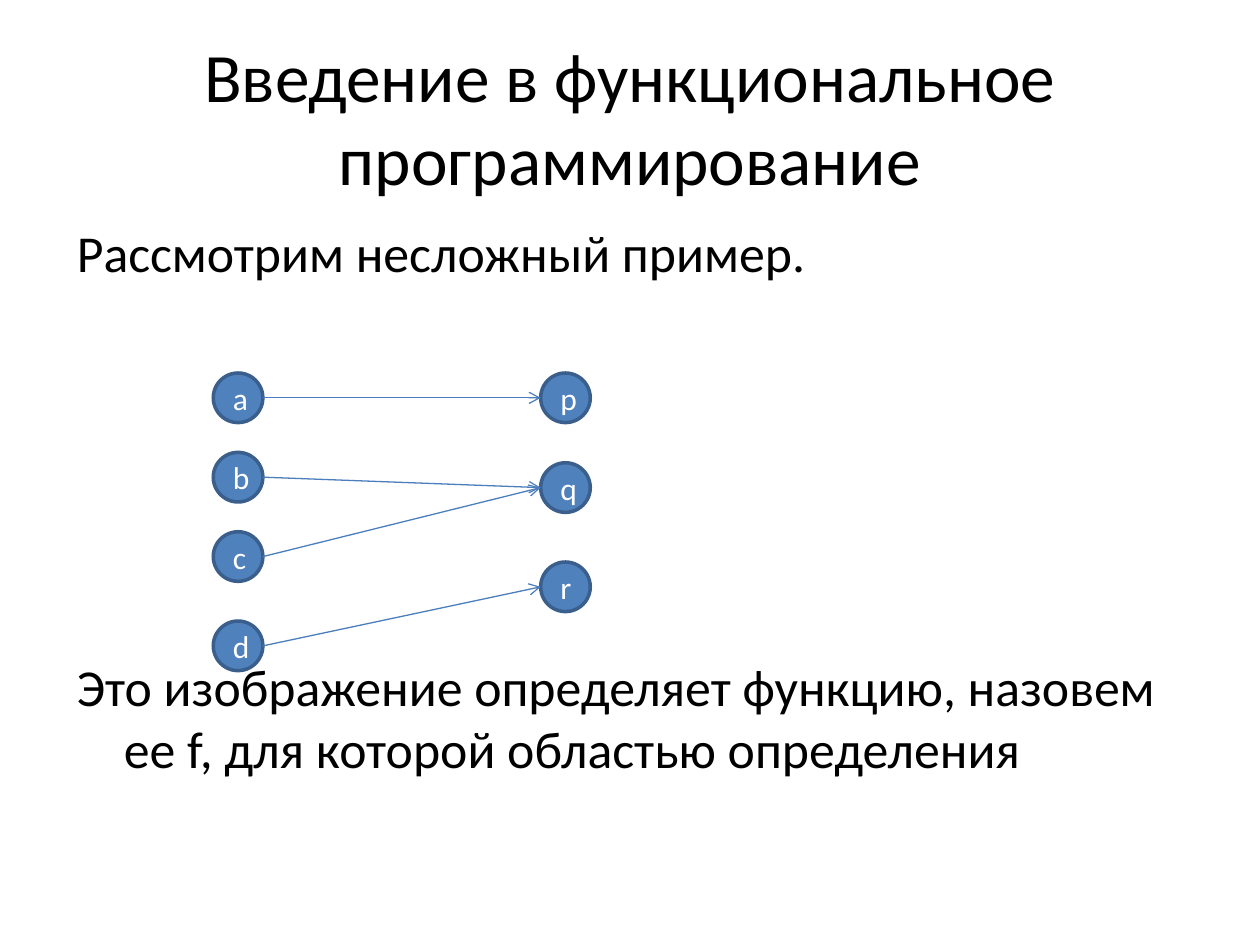
import pptx
import pptx.util
import pptx.dml.color
import pptx.enum.shapes
import pptx.enum.text
import pptx.oxml
import pptx.oxml.ns

Cm, Pt = pptx.util.Cm, pptx.util.Pt
ALIGN = pptx.enum.text.PP_ALIGN
ANCHOR = pptx.enum.text.MSO_ANCHOR

FONT = "Calibri"
COLORS = {"text": "000000", "label": "FFFFFF", "node": "4F81BD",
          "outline": "3A5F8C", "arrow": "4B7EBC"}

TITLE = "Введение в функциональное программирование"
# text, space before in points (the second gap leaves room for the diagram)
BODY = [
    ("Рассмотрим несложный пример.", 0),
    ("Это изображение определяет функцию, назовем ее f, "
     "для которой областью определения", 212.5),
]

DIAMETER = 1.0
DOMAIN_LEFT, RANGE_LEFT = 4.3, 10.9
# label: (left, top) in cm
NODES = {
    "a": (DOMAIN_LEFT, 7.52),
    "b": (DOMAIN_LEFT, 9.12),
    "c": (DOMAIN_LEFT, 10.72),
    "d": (DOMAIN_LEFT, 12.52),
    "r": (RANGE_LEFT, 11.33),
    "q": (RANGE_LEFT, 9.33),
    "p": (RANGE_LEFT, 7.52),
}
MAPPING = [("a", "p"), ("c", "q"), ("b", "q"), ("d", "r")]


def rgb(name):
    return pptx.dml.color.RGBColor.from_string(COLORS[name])


def add_span(para, text, size, color):
    span = para.add_run()
    span.text = text
    span.font.name = FONT
    span.font.size = Pt(size)
    span.font.color.rgb = rgb(color)


def add_text_box(page, left, top, width, height, anchor):
    frame = page.shapes.add_textbox(Cm(left), Cm(top), Cm(width), Cm(height)).text_frame
    frame.word_wrap = True
    frame.vertical_anchor = anchor
    return frame


def add_title(page):
    para = add_text_box(page, 1.27, 0.76, 22.86, 3.18, ANCHOR.MIDDLE).paragraphs[0]
    para.alignment = ALIGN.CENTER
    add_span(para, TITLE, 39.6, "text")


def add_body(page):
    frame = add_text_box(page, 1.3, 4.32, 22.86, 12.57, ANCHOR.TOP)
    for index, (text, gap) in enumerate(BODY):
        para = frame.add_paragraph() if index else frame.paragraphs[0]
        para.space_before = Pt(gap)
        hanging = para._p.get_or_add_pPr()
        hanging.set("marL", str(Cm(0.95)))
        hanging.set("indent", str(-Cm(0.95)))
        add_span(para, text, 29.6, "text")


def add_node(page, label, left, top):
    node = page.shapes.add_shape(pptx.enum.shapes.MSO_SHAPE.OVAL,
                                 Cm(left), Cm(top), Cm(DIAMETER), Cm(DIAMETER))
    node.shadow.inherit = False
    node.fill.solid()
    node.fill.fore_color.rgb = rgb("node")
    node.line.color.rgb = rgb("outline")
    node.line.width = Pt(2)
    node.text_frame.vertical_anchor = ANCHOR.MIDDLE
    para = node.text_frame.paragraphs[0]
    para.alignment = ALIGN.CENTER
    add_span(para, label, 18, "label")


def add_arrow(page, source, target):
    """Join the right edge of the source node to the left edge of the target."""
    (x1, y1), (x2, y2) = NODES[source], NODES[target]
    radius = DIAMETER / 2
    arrow = page.shapes.add_connector(
        pptx.enum.shapes.MSO_CONNECTOR.STRAIGHT,
        Cm(x1 + DIAMETER), Cm(y1 + radius), Cm(x2), Cm(y2 + radius))
    arrow.line.color.rgb = rgb("arrow")
    arrow.line.width = Pt(0.75)
    head = pptx.oxml.parse_xml(
        '<a:tailEnd %s type="arrow"/>' % pptx.oxml.ns.nsdecls("a"))
    arrow.line._get_or_add_ln().append(head)
    no_shadow = pptx.oxml.parse_xml("<a:effectLst %s/>" % pptx.oxml.ns.nsdecls("a"))
    arrow._element.spPr.append(no_shadow)


def main():
    deck = pptx.Presentation()
    deck.slide_width, deck.slide_height = Cm(25.4), Cm(19.05)
    page = deck.slides.add_slide(deck.slide_layouts[6])
    add_title(page)
    add_body(page)
    for label, (left, top) in NODES.items():
        add_node(page, label, left, top)
    for source, target in MAPPING:
        add_arrow(page, source, target)
    deck.save("out.pptx")


if __name__ == "__main__":
    main()
